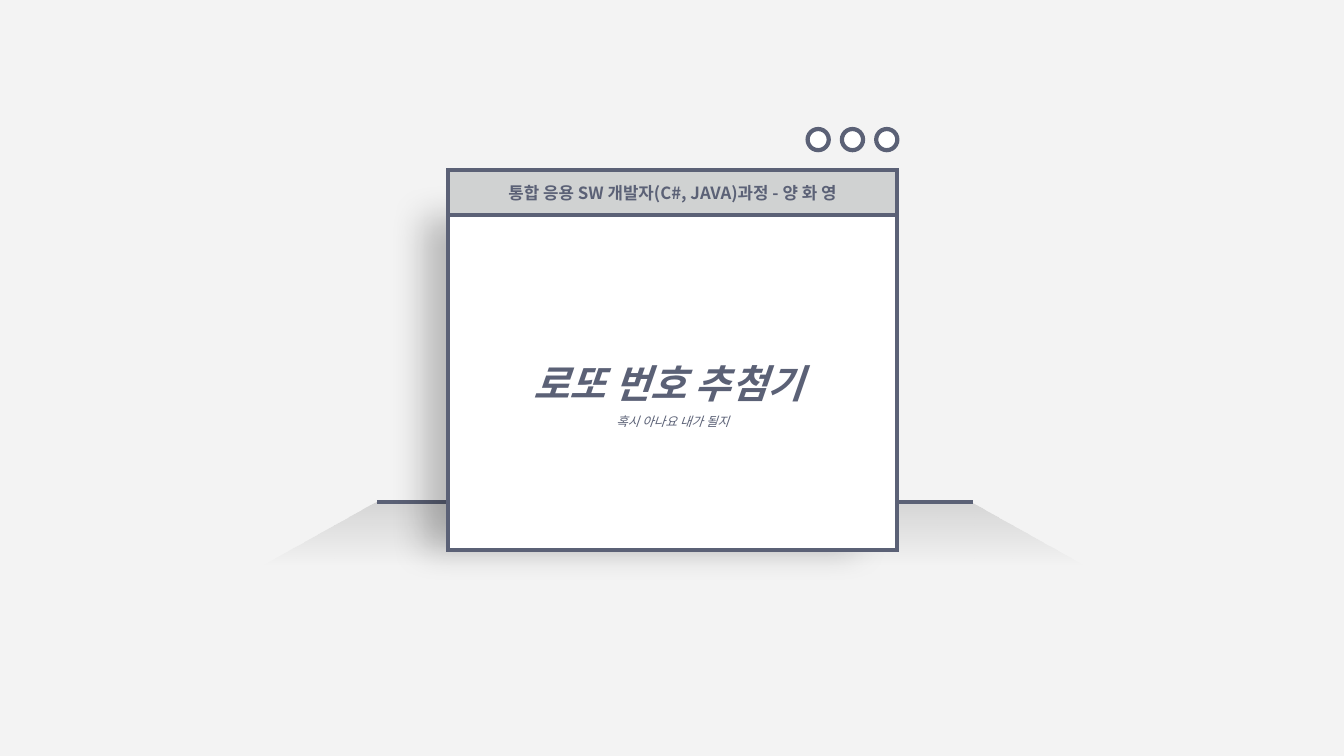
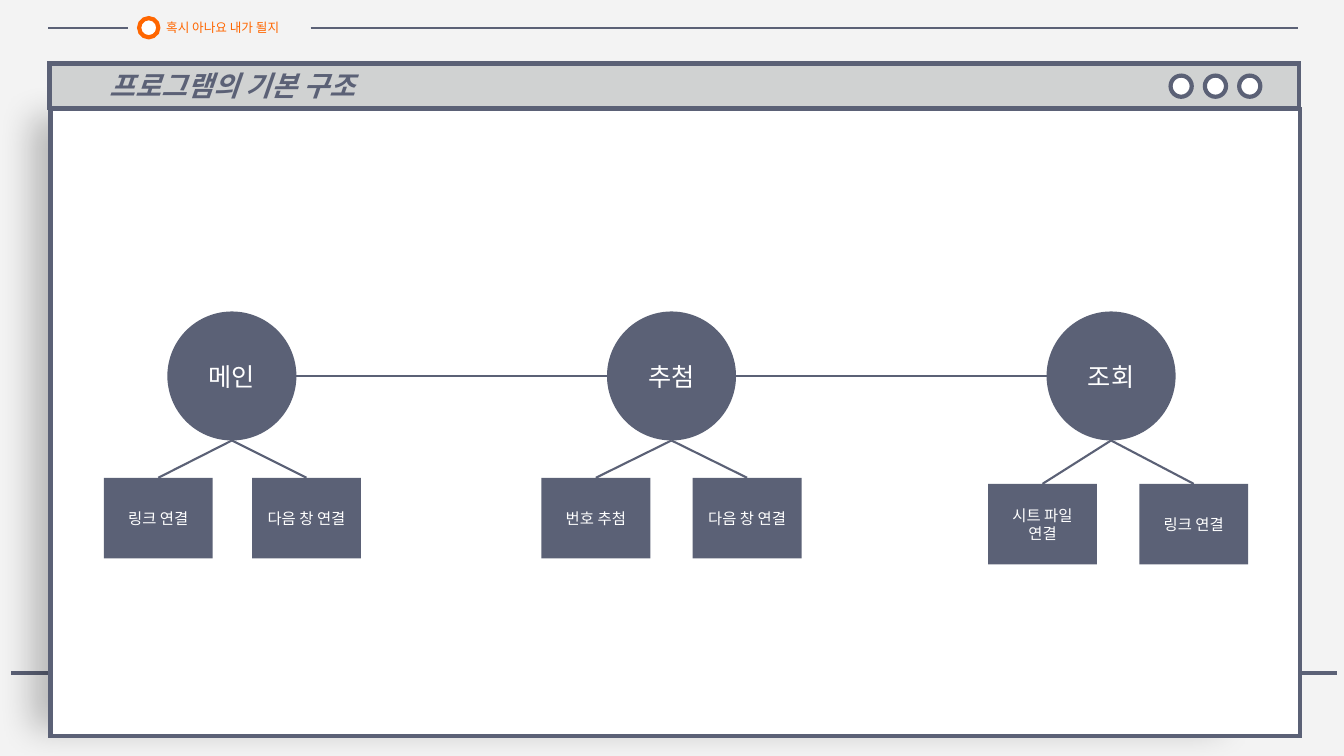
from lxml.etree import SubElement
from pptx import Presentation
from pptx.dml.color import RGBColor
from pptx.enum.shapes import MSO_CONNECTOR, MSO_SHAPE
from pptx.enum.text import MSO_ANCHOR, MSO_AUTO_SIZE, PP_ALIGN
from pptx.oxml.ns import qn
from pptx.util import Inches, Pt

FONT = "Noto Sans CJK KR"
SLATE = RGBColor(0x5B, 0x61, 0x76)
SILVER = RGBColor(0xD0, 0xD2, 0xD2)
PAPER = RGBColor(0xF3, 0xF3, 0xF3)
WHITE = RGBColor(0xFF, 0xFF, 0xFF)
BLACK = RGBColor(0x00, 0x00, 0x00)
ORANGE = RGBColor(0xFF, 0x66, 0x00)

TAGLINE = "혹시 아나요 내가 될지"
NODE_SIZE, NODE_TOP = 1.28, 3.09
NODE_FIRST, NODE_STEP = 2.3, 4.36
BOX_WIDTH, BOX_HEIGHT = 1.08, 0.8
NODES = [
    ("메인", 4.74, [(1.03, "링크 연결"), (2.5, "다음 창 연결")]),
    ("추첨", 4.74, [(5.37, "번호 추첨"), (6.87, "다음 창 연결")]),
    ("조회", 4.8, [(9.8, "시트 파일\n연결"), (11.3, "링크 연결")]),
]


def set_text(sp, text, size, color=SLATE, bold=False, italic=False,
             align=PP_ALIGN.CENTER, spacing=1.0, wrap=True):
    """Fill a shape with formatted text, one paragraph per line."""
    tf = sp.text_frame
    tf.text = text
    tf.word_wrap = wrap
    tf.auto_size = MSO_AUTO_SIZE.NONE
    tf.vertical_anchor = MSO_ANCHOR.MIDDLE
    tf.margin_top = tf.margin_bottom = 0
    for p in tf.paragraphs:
        p.alignment = align
        p.line_spacing = spacing
        for r in p.runs:
            r.font.size = Pt(size)
            r.font.bold = bold
            r.font.italic = italic
            r.font.color.rgb = color
            r.font.name = FONT
            SubElement(r.font._element, qn("a:ea"), typeface=FONT)


def add_label(s, box, text, size, **style):
    """Add a text box."""
    sp = s.shapes.add_textbox(*map(Inches, box))
    set_text(sp, text, size, **style)


def add_title(s, box, text, size, **style):
    """Place the title placeholder in front of the shapes drawn so far."""
    sp = s.shapes.title
    sp.left, sp.top, sp.width, sp.height = map(Inches, box)
    set_text(sp, text, size, bold=True, italic=True, **style)
    s.shapes._spTree.append(sp._element)


def add_figure(s, kind, box, fill=WHITE, line=SLATE):
    """Add a flat preset shape, outlined with sharp corners unless line is None."""
    sp = s.shapes.add_shape(kind, *map(Inches, box))
    sp.shadow.inherit = False
    sp.fill.solid()
    sp.fill.fore_color.rgb = fill
    if line is None:
        sp.line.fill.background()
    else:
        sp.line.color.rgb = line
        sp.line.width = Pt(3)
        SubElement(sp._element.spPr.find(qn("a:ln")), qn("a:miter"), lim="800000")
    return sp


def add_line(s, x1, y1, x2, y2, weight):
    """Add a straight slate line."""
    line = s.shapes.add_connector(MSO_CONNECTOR.STRAIGHT, *map(Inches, (x1, y1, x2, y2)))
    line.line.color.rgb = SLATE
    line.line.width = Pt(weight)
    SubElement(line._element.spPr, qn("a:effectLst"))
    return line


def set_alpha(color, percent):
    """Give a colour element an opacity."""
    SubElement(color, qn("a:alpha"), val=str(percent * 1000))


def add_window(s, box, distance):
    """Add a white window whose soft, slightly smaller shadow falls to the left."""
    sp = add_figure(s, MSO_SHAPE.RECTANGLE, box)
    effects = sp._element.spPr.find(qn("a:effectLst"))
    shadow = SubElement(effects, qn("a:outerShdw"), blurRad=str(Pt(25)),
                        dist=str(Pt(distance)), dir=str(180 * 60000),
                        sx="95000", sy="97000", algn="r", rotWithShape="0")
    set_alpha(SubElement(shadow, qn("a:srgbClr"), val=str(BLACK)), 24)


def add_rings(s, left, top):
    """Add the three window buttons."""
    for i in range(3):
        add_figure(s, MSO_SHAPE.OVAL, (left + 0.34 * i, top, 0.21, 0.21))


def add_floor(s, box):
    """Add the floor that fades out downwards."""
    sp = add_figure(s, MSO_SHAPE.TRAPEZOID, box, line=None)
    sp.adjustments[0] = 1.83
    sp.fill.gradient()
    sp.fill.gradient_angle = 270
    for stop in sp.fill.gradient_stops:
        stop.color.rgb = BLACK
    for color, opacity in zip(sp._element.spPr.iter(qn("a:srgbClr")), (13, 0)):
        set_alpha(color, opacity)


def add_node(s, center, name, box_top, boxes):
    """Add a circle and the boxes that hang from it."""
    circle = add_figure(s, MSO_SHAPE.OVAL,
                        (center - NODE_SIZE / 2, NODE_TOP, NODE_SIZE, NODE_SIZE),
                        SLATE, None)
    set_text(circle, name, 18, WHITE)
    for left, text in boxes:
        sp = add_figure(s, MSO_SHAPE.RECTANGLE,
                        (left, box_top, BOX_WIDTH, BOX_HEIGHT), SLATE, None)
        set_text(sp, text, 11, WHITE)
        branch = add_line(s, center, NODE_TOP + NODE_SIZE,
                          left + BOX_WIDTH / 2, box_top, 1.5)
        branch.end_connect(sp, 0)


def build_cover(s):
    """Build the cover slide."""
    add_floor(s, (2.57, 4.98, 8.22, 0.64))
    add_line(s, 3.74, 4.98, 9.65, 4.98, 3)
    add_window(s, (4.44, 2.12, 4.46, 3.34), 32)
    bar = add_figure(s, MSO_SHAPE.RECTANGLE, (4.44, 1.69, 4.46, 0.44), SILVER)
    set_text(bar, "통합 응용 SW 개발자(C#, JAVA)과정 - 양 화 영", 12, bold=True)
    add_rings(s, 8.01, 1.28)
    add_title(s, (4.44, 3.26, 4.46, 0.85), "로또 번호 추첨기 ", 28, spacing=1.5)
    add_label(s, (4.44, 4.01, 4.46, 0.27), TAGLINE, 9, italic=True, spacing=1.5)


def build_structure(s):
    """Build the slide on the structure of the program."""
    add_line(s, 0.48, 0.28, 1.27, 0.28, 1.75)
    add_line(s, 3.08, 0.28, 12.87, 0.28, 1.75)
    add_label(s, (1.55, 0.15, 1.53, 0.24), TAGLINE, 9, color=ORANGE,
              align=PP_ALIGN.LEFT, wrap=False)
    add_figure(s, MSO_SHAPE.OVAL, (1.38, 0.18, 0.19, 0.19), line=ORANGE)

    add_line(s, 0.11, 6.68, 13.26, 6.68, 3)
    add_window(s, (0.5, 1.08, 12.39, 6.22), 57)
    add_figure(s, MSO_SHAPE.RECTANGLE, (0.49, 0.63, 12.39, 0.44), SILVER)
    add_rings(s, 11.61, 0.75)
    add_title(s, (0.99, 0.63, 10, 0.44), "프로그램의 기본 구조", 20, align=PP_ALIGN.LEFT)

    middle, radius = NODE_TOP + NODE_SIZE / 2, NODE_SIZE / 2
    for i, node in enumerate(NODES):
        center = NODE_FIRST + NODE_STEP * i
        add_node(s, center, *node)
        if i:
            add_line(s, center - NODE_STEP + radius, middle, center - radius, middle, 2)


def main():
    """Build and save the presentation."""
    prs = Presentation()
    prs.slide_width, prs.slide_height = Inches(13.33), Inches(7.5)
    background = prs.slide_master.background.fill
    background.solid()
    background.fore_color.rgb = PAPER
    for build in (build_cover, build_structure):
        build(prs.slides.add_slide(prs.slide_layouts[5]))
    prs.save("out.pptx")


if __name__ == "__main__":
    main()
